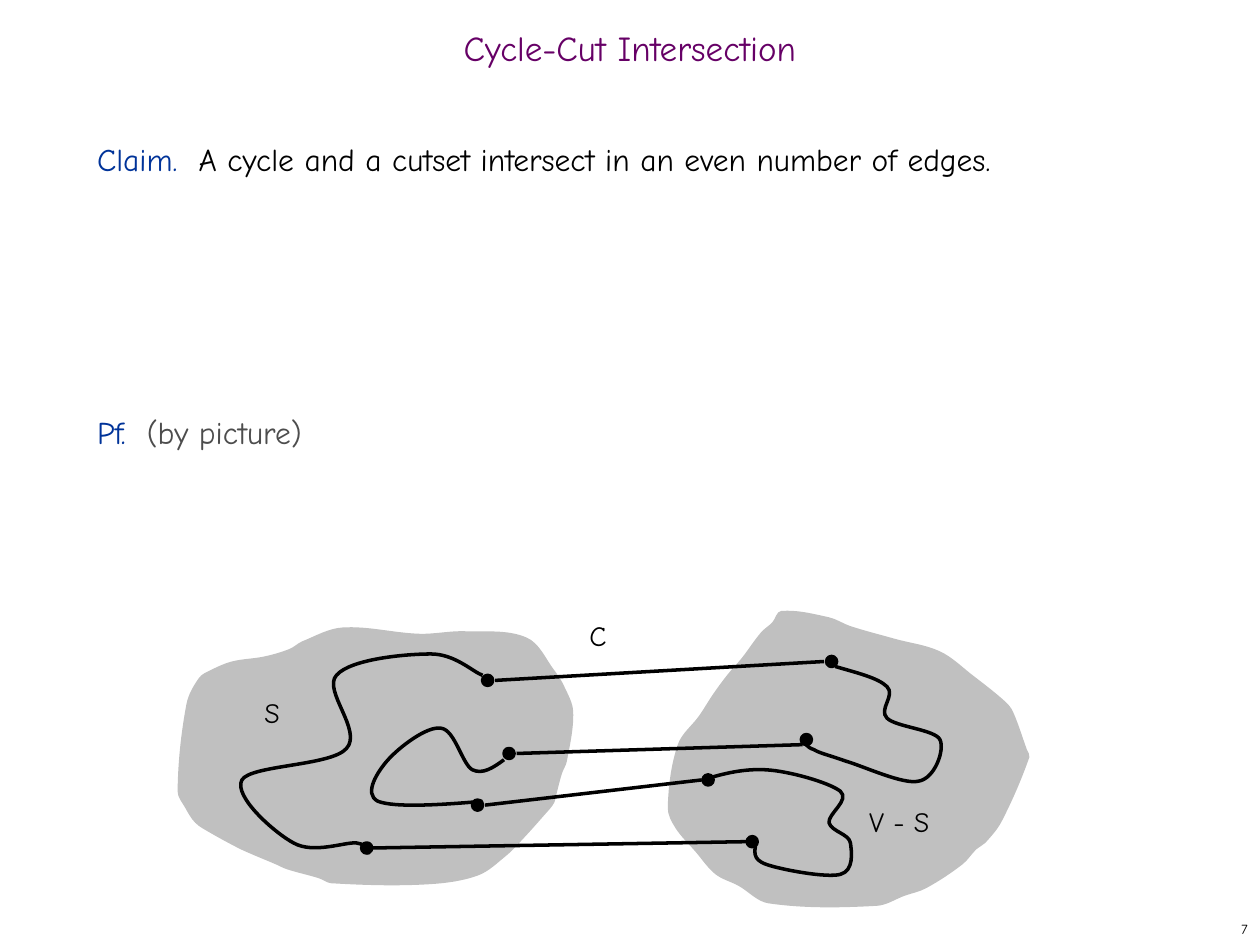
from math import dist, hypot

from lxml.etree import SubElement
from pptx import Presentation
from pptx.dml.color import RGBColor
from pptx.enum.shapes import MSO_CONNECTOR, MSO_SHAPE
from pptx.enum.text import MSO_ANCHOR, MSO_AUTO_SIZE, PP_ALIGN
from pptx.oxml.ns import qn
from pptx.util import Inches, Pt

FONT = "Comic Neue"
HUES = {"title": "660066", "lead": "003399", "ink": "000000",
        "soft": "4D4D4D", "zone": "C0C0C0"}

# Points below are inches from the corner of the drawing's box.
ZONES = [
    [(5.2, .85), (5.58, .9), (5.75, .97), (6.1, 1.07), (6.46, 1.17),
     (6.72, 1.36), (6.98, 1.57), (7.04, 1.65), (7.15, 1.95),
     (7.17, 2.01), (6.95, 2.52), (6.82, 2.69), (6.75, 2.74),
     (6.64, 2.86), (6.35, 3.05), (6.18, 3.11), (5.96, 3.19),
     (5.1, 3.17), (4.86, 3.03), (4.68, 2.94), (4.52, 2.76), (4.36, 2.57),
     (4.3, 2.41), (4.38, 1.91), (4.55, 1.68), (4.66, 1.51),
     (4.77, 1.36), (4.89, 1.22), (5.04, 1.02), (5.13, .94)],
    [(.67, 1.32), (.84, 1.25), (1.1, 1.21), (1.3, 1.15), (1.4, 1.09),
     (1.72, .98), (2.33, 1.03), (2.69, 1.01), (3.18, 1.06),
     (3.4, 1.32), (3.48, 1.45), (3.55, 1.65), (3.5, 2.04),
     (3.46, 2.14), (3.42, 2.29), (3.4, 2.37), (3.32, 2.47),
     (3.14, 2.67), (3.02, 2.79), (2.79, 2.95), (2.37, 3.02),
     (1.63, 3.01), (1.53, 2.97), (1.28, 2.9), (1.19, 2.86),
     (1, 2.78), (.89, 2.73), (.67, 2.61), (.55, 2.53), (.47, 2.41),
     (.41, 2.28), (.48, 1.59), (.58, 1.38)],
]
DOTS = [(2.87, 1.4), (5.6, 1.25), (3.04, 1.98), (5.4, 1.87),
        (2.79, 2.39), (4.62, 2.19), (1.91, 2.73), (4.97, 2.68)]
EDGES = [((2.93, 1.4), (5.54, 1.25)), ((3.1, 1.98), (5.37, 1.91)),
         ((4.57, 2.19), (2.85, 2.39)), ((4.92, 2.68), (1.96, 2.73))]
# Each path is a start, then two control points and an end per Bezier curve.
PATHS = [
    [(1.92, 2.78), (1.92, 2.74), (1.93, 2.71), (1.83, 2.69),
     (1.74, 2.68), (1.49, 2.78), (1.33, 2.69),
     (1.18, 2.61), (.85, 2.32), (.92, 2.19),
     (.99, 2.07), (1.63, 2.08), (1.75, 1.94),
     (1.88, 1.8), (1.56, 1.48), (1.67, 1.36),
     (1.78, 1.23), (2.22, 1.19), (2.42, 1.19),
     (2.61, 1.19), (2.75, 1.33), (2.83, 1.36)],
    [(2.83, 2.36), (2.48, 2.39), (2.13, 2.41), (2, 2.36),
     (1.88, 2.3), (2, 2.12), (2.08, 2.03),
     (2.17, 1.93), (2.39, 1.76), (2.5, 1.78),
     (2.61, 1.79), (2.67, 2.07), (2.75, 2.11),
     (2.83, 2.15), (2.92, 2.09), (3, 2.03)],
    [(5.38, 1.87), (5.39, 1.9), (5.4, 1.93), (5.46, 1.95),
     (5.51, 1.98), (5.57, 1.99), (5.71, 2.04),
     (5.85, 2.08), (6.17, 2.23), (6.29, 2.2),
     (6.42, 2.18), (6.5, 1.95), (6.46, 1.87),
     (6.42, 1.79), (6.11, 1.77), (6.04, 1.7),
     (5.97, 1.63), (6.11, 1.52), (6.04, 1.45),
     (5.97, 1.38), (5.8, 1.34), (5.63, 1.29)],
    [(4.58, 2.19), (4.74, 2.14), (4.9, 2.1), (5.08, 2.11),
     (5.26, 2.12), (5.58, 2.21), (5.67, 2.28),
     (5.75, 2.35), (5.57, 2.46), (5.58, 2.53),
     (5.6, 2.6), (5.74, 2.62), (5.75, 2.69),
     (5.76, 2.76), (5.78, 2.91), (5.67, 2.94),
     (5.56, 2.97), (5.19, 2.9), (5.08, 2.86),
     (4.97, 2.82), (4.99, 2.76), (5, 2.69)],
]
LABELS = [("S", 1, 1.47, .42), ("V - S", 5.8, 2.34, .92), ("C", 3.58, .86, .42)]


def hue(name):
    return RGBColor.from_string(HUES[name])


def style(run, size, name):
    run.font.name, run.font.size = FONT, Pt(size)
    run.font.color.rgb = hue(name)


def place(shape, box):
    shape.left, shape.top, shape.width, shape.height = map(Inches, box)


def ink(shape):
    shape.line.color.rgb = hue("ink")
    shape.line.width = Pt(2)


def add_title(slide, box):
    title = slide.shapes.title
    place(title, box)
    frame = title.text_frame
    frame.text = "Cycle-Cut Intersection"
    frame.auto_size = MSO_AUTO_SIZE.NONE
    frame.vertical_anchor = MSO_ANCHOR.MIDDLE
    para = frame.paragraphs[0]
    para.alignment, para.line_spacing = PP_ALIGN.CENTER, 0.7
    style(para.runs[0], 20, "title")


def add_body(slide, box):
    body = slide.placeholders[1]
    place(body, box)
    frame = body.text_frame
    frame.auto_size = MSO_AUTO_SIZE.NONE
    rows = [("Claim.  ", "A cycle and a cutset intersect in an even number of edges.",
             "ink", 0),
            ("Pf.  ", "(by picture)", "soft", 130)]
    for i, (lead, rest, tone, gap) in enumerate(rows):
        para = frame.add_paragraph() if i else frame.paragraphs[0]
        para.line_spacing, para.space_before = Pt(26), Pt(gap)
        props = para._p.get_or_add_pPr()
        props.set("marL", str(Inches(0.38)))
        props.set("indent", str(-Inches(0.38)))
        SubElement(props, qn("a:buNone"))
        for text, name in ((lead, "lead"), (rest, tone)):
            run = para.add_run()
            run.text = text
            style(run, 18, name)


def add_label(slide, text, box, size=16):
    label = slide.shapes.add_textbox(*map(Inches, box))
    label.text_frame.word_wrap = True
    label.text_frame.text = text
    para = label.text_frame.paragraphs[0]
    style(para.runs[0], size, "ink")
    return label


def add_page(slide, box):
    frame = add_label(slide, "7", box, 8).text_frame
    frame.vertical_anchor = MSO_ANCHOR.MIDDLE
    frame.paragraphs[0].alignment = PP_ALIGN.RIGHT


def soften(spots):
    """Return the knots of a smooth closed Bezier path through the spots."""
    count = len(spots)
    ways = []
    for i in range(count):
        (x1, y1), (x2, y2) = spots[i - 1], spots[(i + 1) % count]
        span = hypot(x2 - x1, y2 - y1)
        ways.append(((x2 - x1) / span, (y2 - y1) / span))
    knots = [spots[0]]
    for i in range(count):
        j = (i + 1) % count
        reach = dist(spots[i], spots[j]) / 3
        knots += [tuple(p + reach * w for p, w in zip(spots[i], ways[i])),
                  tuple(p - reach * w for p, w in zip(spots[j], ways[j])),
                  spots[j]]
    return knots


def add_curve(slide, knots, left, top, close):
    """Add a freeform whose line segments are joined by threes into curves."""
    spots = [(Inches(left + x), Inches(top + y)) for x, y in knots]
    maker = slide.shapes.build_freeform(*spots[0])
    maker.add_line_segments(spots[1:], close=close)
    form = maker.convert_to_shape()
    form.shadow.inherit = False
    lines = list(form._element.iter(qn("a:lnTo")))
    for i in range(0, len(lines), 3):
        bend = lines[i]
        bend.tag = qn("a:cubicBezTo")
        for line in lines[i + 1:i + 3]:
            bend.append(line[0])
            line.getparent().remove(line)
    return form


def add_graph(slide, left, top):
    """Draw the two sides of the cut and the cycle that crosses it."""
    for zone in ZONES:
        form = add_curve(slide, soften(zone), left, top, True)
        form.fill.solid()
        form.fill.fore_color.rgb = hue("zone")
        form.line.fill.background()
    size = 0.08
    for x, y in DOTS:
        box = (left + x - size / 2, top + y - size / 2, size, size)
        dot = slide.shapes.add_shape(MSO_SHAPE.OVAL, *map(Inches, box))
        dot.shadow.inherit = False
        dot.fill.solid()
        dot.fill.fore_color.rgb = hue("ink")
        ink(dot)
    for (x1, y1), (x2, y2) in EDGES:
        ends = map(Inches, (left + x1, top + y1, left + x2, top + y2))
        edge = slide.shapes.add_connector(MSO_CONNECTOR.STRAIGHT, *ends)
        ink(edge)
        SubElement(edge._element.spPr, qn("a:effectLst"))
    for text, x, y, width in LABELS:
        add_label(slide, text, (left + x, top + y, width, 0.37))
    for knots in PATHS:
        form = add_curve(slide, knots, left, top, False)
        form.fill.background()
        ink(form)


def main():
    deck = Presentation()
    deck.slide_width, deck.slide_height = Inches(10), Inches(7.5)
    slide = deck.slides.add_slide(deck.slide_layouts[1])
    add_title(slide, (0, 0.17, 10, 0.5))
    add_body(slide, (0.67, 1, 8.58, 5.92))
    add_page(slide, (7.92, 7.25, 2.08, 0.25))
    add_graph(slide, 1, 4)
    deck.save("out.pptx")


if __name__ == "__main__":
    main()
